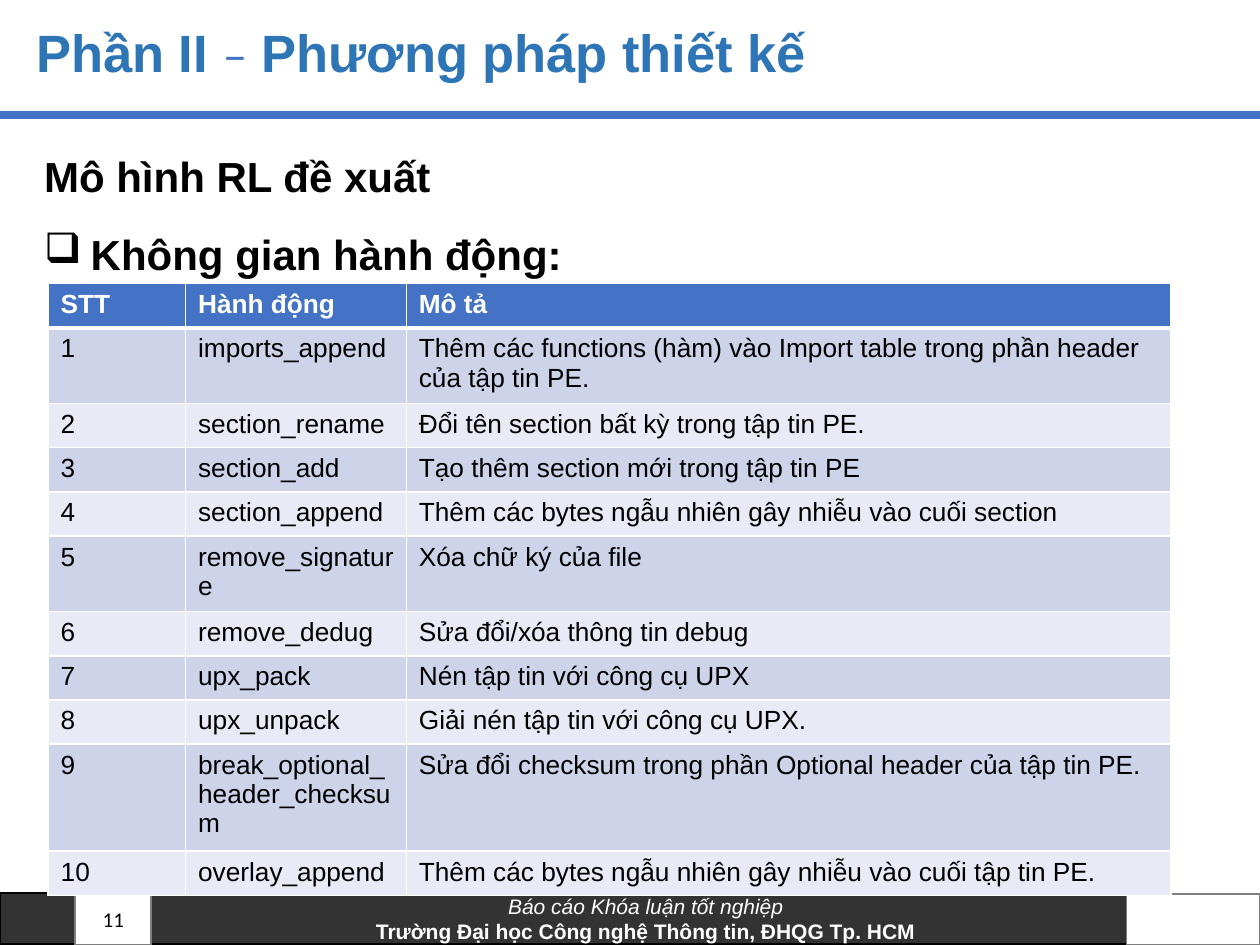
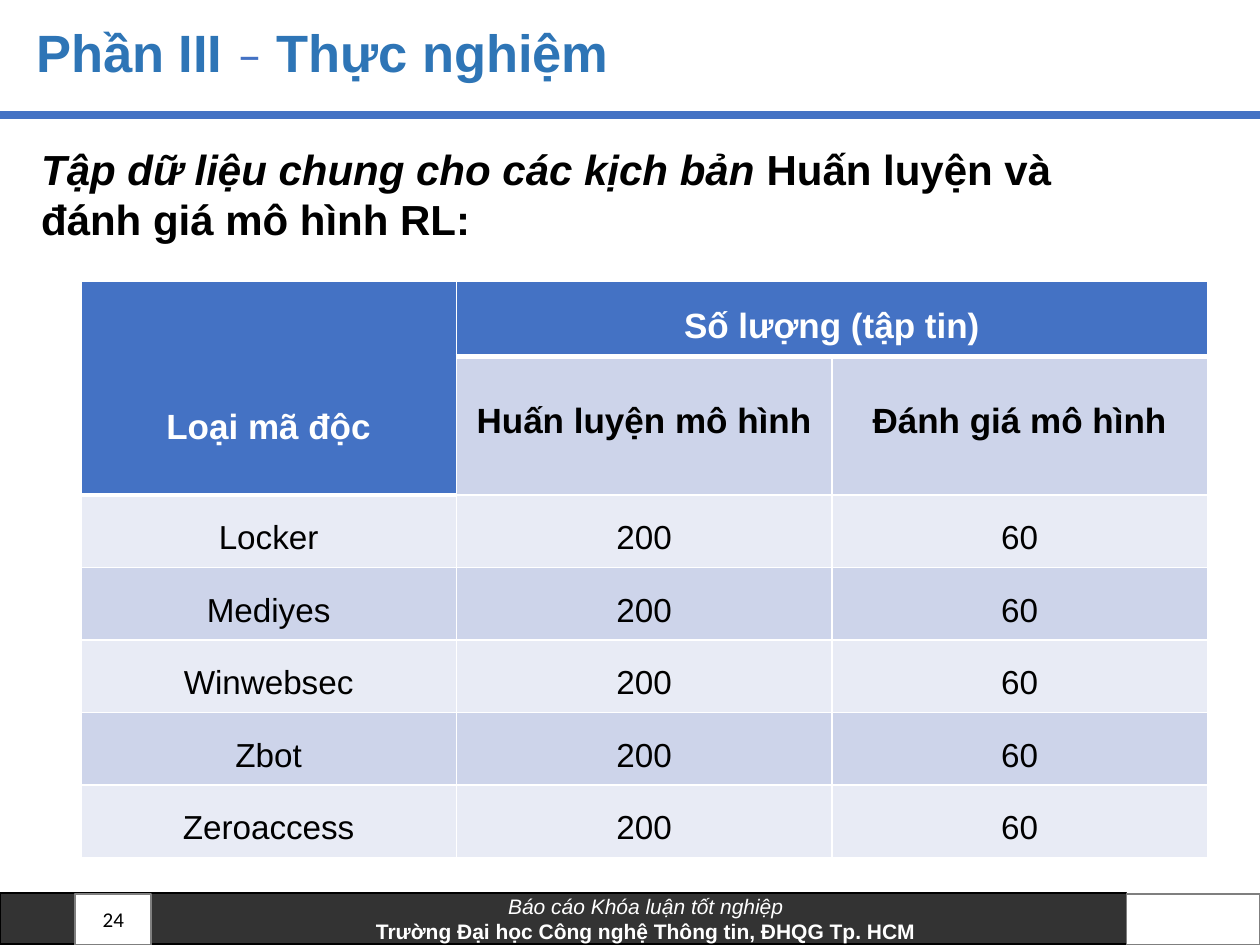
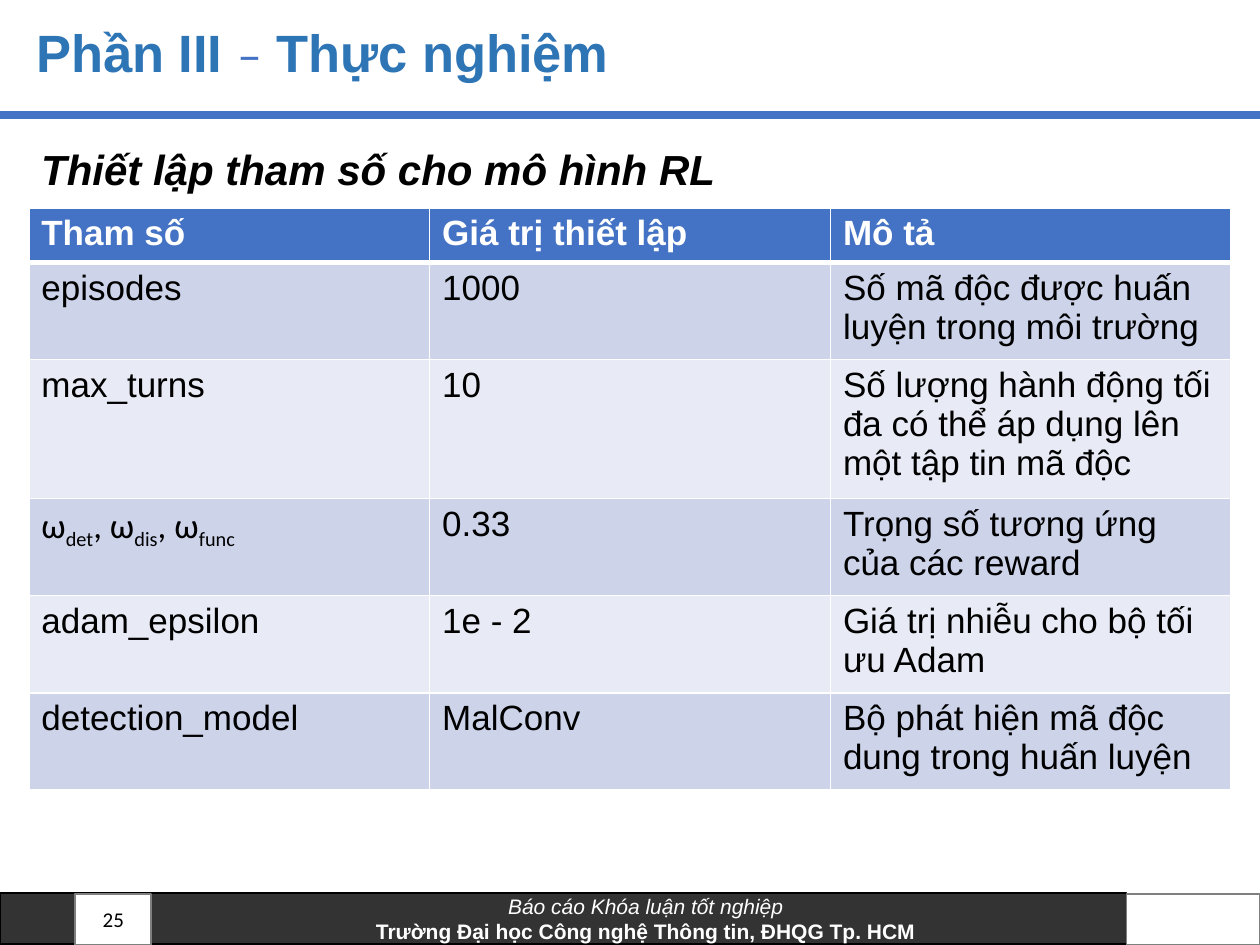
"""Builds three thesis slides: action space, data set and model settings."""
from lxml.etree import SubElement as Sub
from pptx import Presentation
from pptx.dml.color import RGBColor as Rgb
from pptx.enum.shapes import MSO_CONNECTOR as Link, MSO_SHAPE as Form
from pptx.enum.text import MSO_ANCHOR as Anchor, PP_ALIGN as Align
from pptx.oxml.ns import qn
from pptx.util import Cm, Pt

HUES = {
    "ink": "000000", "paper": "FFFFFF", "title": "2E75B6", "blue": "4472C4",
    "edge": "7F7F7F", "odd": "CDD4EA", "even": "E8EBF5",
}
RGB = {name: Rgb.from_string(code) for name, code in HUES.items()}


def write(par, parts, size, hue="ink", face="Arial", bold=False, slant=False):
    """Fill a paragraph with runs, each a text and its own changes."""
    par.text = parts[0][0]
    for text, _ in parts[1:]:
        par.add_run().text = text
    for run, (_, own) in zip(par.runs, parts):
        look = {"size": size, "hue": hue, "face": face, "bold": bold,
                "slant": slant, "low": False, **own}
        run.font.size = Pt(look["size"])
        run.font.name = look["face"]
        run.font.bold = look["bold"]
        run.font.italic = look["slant"]
        run.font.color.rgb = RGB[look["hue"]]
        if look["low"]:
            run._r.get_or_add_rPr().set("baseline", "-25000")


def add_text(page, left, top, wide, high, anchor=Anchor.TOP):
    """Add a wrapping text box and return its frame."""
    box = page.shapes.add_textbox(Cm(left), Cm(top), Cm(wide), Cm(high))
    box.text_frame.word_wrap = True
    box.text_frame.vertical_anchor = anchor
    return box.text_frame


low = {"low": True}
omega = [("ω", {}), ("det", low), (", ω", {}), ("dis", low), (", ω", {}), ("func", low)]

actions = [
    ["STT", "Hành động", "Mô tả"],
    ["1", "imports_append", "Thêm các functions (hàm) vào Import table trong phần header của tập tin PE."],
    ["2", "section_rename", "Đổi tên section bất kỳ trong tập tin PE."],
    ["3", "section_add", "Tạo thêm section mới trong tập tin PE"],
    ["4", "section_append", "Thêm các bytes ngẫu nhiên gây nhiễu vào cuối section"],
    ["5", "remove_signature", "Xóa chữ ký của file"],
    ["6", "remove_dedug", "Sửa đổi/xóa thông tin debug"],
    ["7", "upx_pack", "Nén tập tin với công cụ UPX"],
    ["8", "upx_unpack", "Giải nén tập tin với công cụ UPX."],
    ["9", "break_optional_header_checksum", "Sửa đổi checksum trong phần Optional header của tập tin PE."],
    ["10", "overlay_append", "Thêm các bytes ngẫu nhiên gây nhiễu vào cuối tập tin PE."],
]
kinds = ["Locker", "Mediyes", "Winwebsec", "Zbot", "Zeroaccess"]
counts = [
    ["Loại mã độc", "Số lượng (tập tin)", ""],
    ["", "Huấn luyện mô hình", "Đánh giá mô hình"],
    *[[kind, "200", "60"] for kind in kinds],
]
params = [
    ["Tham số", "Giá trị thiết lập", "Mô tả"],
    ["episodes", "1000", "Số mã độc được huấn luyện trong môi trường"],
    ["max_turns", "10", "Số lượng hành động tối đa có thể áp dụng lên một tập tin mã độc"],
    [omega, "0.33", "Trọng số tương ứng của các reward"],
    ["adam_epsilon", "1e - 2", "Giá trị nhiễu cho bộ tối ưu Adam"],
    ["detection_model", "MalConv", "Bộ phát hiện mã độc dung trong huấn luyện"],
]
trial = ("Phần III ", " Thực nghiệm")
slides = [
    {"num": "11", "title": ("Phần II ", " Phương pháp thiết kế"),
     "body": (0.64, 2.41, 24.16, 14.86), "loose": True,
     "heads": [[("Mô hình RL đề xuất", {})], [("Không gian hành động:", {})]],
     "rows": actions, "at": (0.97, 5.72), "size": 15, "cols": [2.77, 4.45, 15.42],
     "highs": [0.86, 1.47, 0.86, 0.86, 0.86, 1.47, 0.86, 0.86, 0.86, 2.11, 0.86]},
    {"num": "24", "title": trial, "body": (0.58, 2.77, 23.11, 2.31), "loose": False,
     "heads": [[("Tập dữ liệu chung cho các kịch bản ", {"slant": True}),
                ("Huấn luyện và đánh giá mô hình RL:", {})]],
     "rows": counts, "at": (1.63, 5.66), "size": 20, "cols": [7.57] * 3,
     "highs": [1.42, 2.01] + [1.42] * 5},
    {"num": "25", "title": trial, "body": (0.58, 2.77, 23.11, 1.27), "loose": False,
     "heads": [[("Thiết lập tham số cho mô hình RL", {"slant": True})]],
     "rows": params, "at": (0.58, 4.19), "size": 20, "cols": [8.08] * 3,
     "highs": [1.09, 1.96, 2.79, 1.96, 1.96, 1.96]},
]
bars = [
    (0, 18.01, 22.71, "ink", "ink"),
    (1.52, 18.03, 1.52, "paper", "edge"),
    (22.71, 18.03, 2.69, "paper", "edge"),
]
foot = [("Báo cáo Khóa luận tốt nghiệp", False),
        ("Trường Đại học Công nghệ Thông tin, ĐHQG Tp. HCM", True)]

deck = Presentation()
deck.slide_width, deck.slide_height = Cm(25.4), Cm(19.05)

for item in slides:
    page = deck.slides.add_slide(deck.slide_layouts[6])

    for left, top, wide, hue, edge in bars:
        bar = page.shapes.add_shape(Form.RECTANGLE, Cm(left), Cm(top), Cm(wide), Cm(1.02))
        bar.shadow.inherit = False
        bar.fill.solid()
        bar.fill.fore_color.rgb = RGB[hue]
        bar.line.color.rgb = RGB[edge]
        bar.line.width = Pt(1)
        if hue == "ink":
            tint = bar._element.spPr.find(qn("a:solidFill"))[0]
            Sub(tint, qn("a:alpha")).set("val", "80000")
            frame = bar.text_frame
            frame.word_wrap = True
            frame.vertical_anchor = Anchor.MIDDLE
            frame.margin_left = frame.margin_right = Cm(0.38)
            frame.margin_top = frame.margin_bottom = Cm(0.18)
            frame.text = "\n".join(text for text, _ in foot)
            for par, (text, bold) in zip(frame.paragraphs, foot):
                write(par, [(text, {})], 12, "paper", bold=bold, slant=not bold)
                par.alignment = Align.CENTER
                par._p.get_or_add_pPr().set("marL", str(Cm(3.33)))

    rule = page.shapes.add_connector(Link.STRAIGHT, 0, Cm(2.31), Cm(25.4), Cm(2.31))
    rule.line.color.rgb = RGB["blue"]
    rule.line.width = Pt(4.5)
    Sub(rule._element.spPr, qn("a:effectLst"))

    part, name = item["title"]
    par = add_text(page, 0.48, 0.41, 22.81, 1.42, Anchor.MIDDLE).paragraphs[0]
    dash = {"size": 28, "face": "Calibri", "hue": "blue", "bold": False}
    write(par, [(part, {}), ("–", dash), (name, {})], 30, "title", bold=True)
    par.line_spacing = 0.9

    par = add_text(page, 1.63, 18.01, 1.12, 1.02, Anchor.MIDDLE).paragraphs[0]
    write(par, [(item["num"], {})], 12, face="Calibri")
    par.alignment = Align.RIGHT

    frame = add_text(page, *item["body"])
    for i, parts in enumerate(item["heads"]):
        par = frame.add_paragraph() if i else frame.paragraphs[0]
        if i:
            props = par._p.get_or_add_pPr()
            props.set("marL", str(Cm(0.94)))
            props.set("indent", str(Cm(-0.94)))
            Sub(props, qn("a:buChar")).set("char", "❑")
            par.space_before = Pt(0.6)
        write(par, parts, 24, bold=True)
        if item["loose"]:
            par.line_spacing = 1.5
            par.space_after = Pt(0.6)

    rows, cols, highs = item["rows"], item["cols"], item["highs"]
    left, top = item["at"]
    grid = page.shapes.add_table(
        len(rows), len(cols), Cm(left), Cm(top), Cm(sum(cols)), Cm(sum(highs))).table
    for col, wide in zip(grid.columns, cols):
        col.width = Cm(wide)
    for row, high in zip(grid.rows, highs):
        row.height = Cm(high)
    heads = {(0, 0), (0, 1), (0, 2)}
    wide_head = rows is counts
    if wide_head:
        heads.add((1, 0))
        grid.cell(0, 0).merge(grid.cell(1, 0))
        grid.cell(0, 1).merge(grid.cell(0, 2))

    for r, row in enumerate(rows):
        for c, text in enumerate(row):
            cell = grid.cell(r, c)
            head = (r, c) in heads
            below = not head and (r - 1, c) in heads
            props = cell._tc.get_or_add_tcPr()
            for side, thick in (("L", False), ("R", False), ("T", below), ("B", head)):
                line = Sub(props, qn("a:ln" + side), w=str(Pt(3 if thick else 1)))
                ink = Sub(line, qn("a:solidFill"))
                Sub(ink, qn("a:srgbClr")).set("val", HUES["paper"])
            cell.fill.solid()
            cell.fill.fore_color.rgb = RGB["blue" if head else "odd" if r % 2 else "even"]
            if not text:
                continue
            par = cell.text_frame.paragraphs[0]
            mixed = text is omega
            bold = head or (wide_head and r == 1)
            size = 19 if wide_head and not bold else item["size"]
            write(par, text if mixed else [(text, {})], size, "paper" if head else "ink",
                  "Calibri" if mixed else "Arial", bold)
            if wide_head:
                par.alignment = Align.CENTER
                par.line_spacing = 3.0 if (r, c) == (0, 0) else 2.0 if r == 1 else 1.5
                if (r, c) == (0, 0):
                    cell.vertical_anchor = Anchor.MIDDLE

deck.save("out.pptx")
